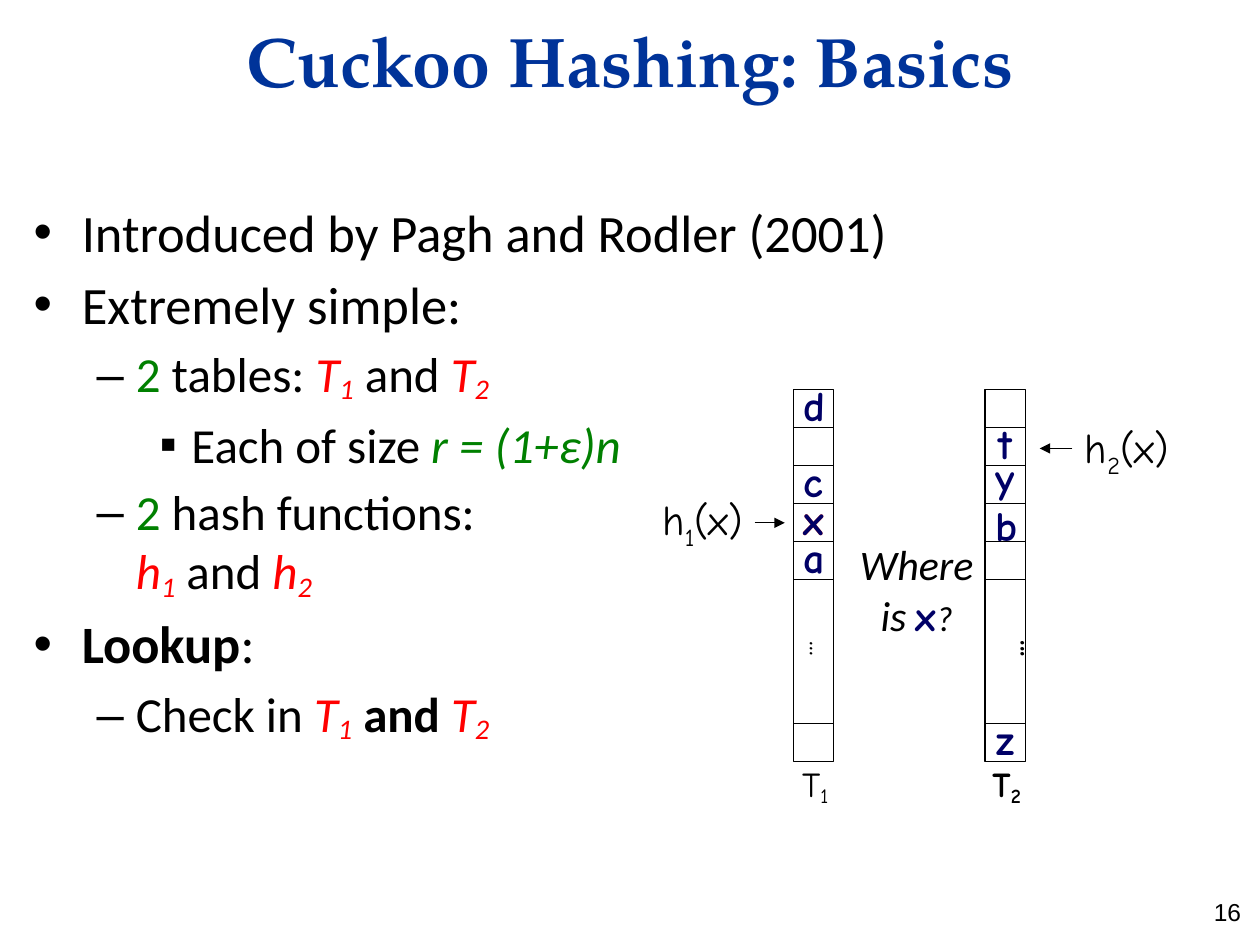
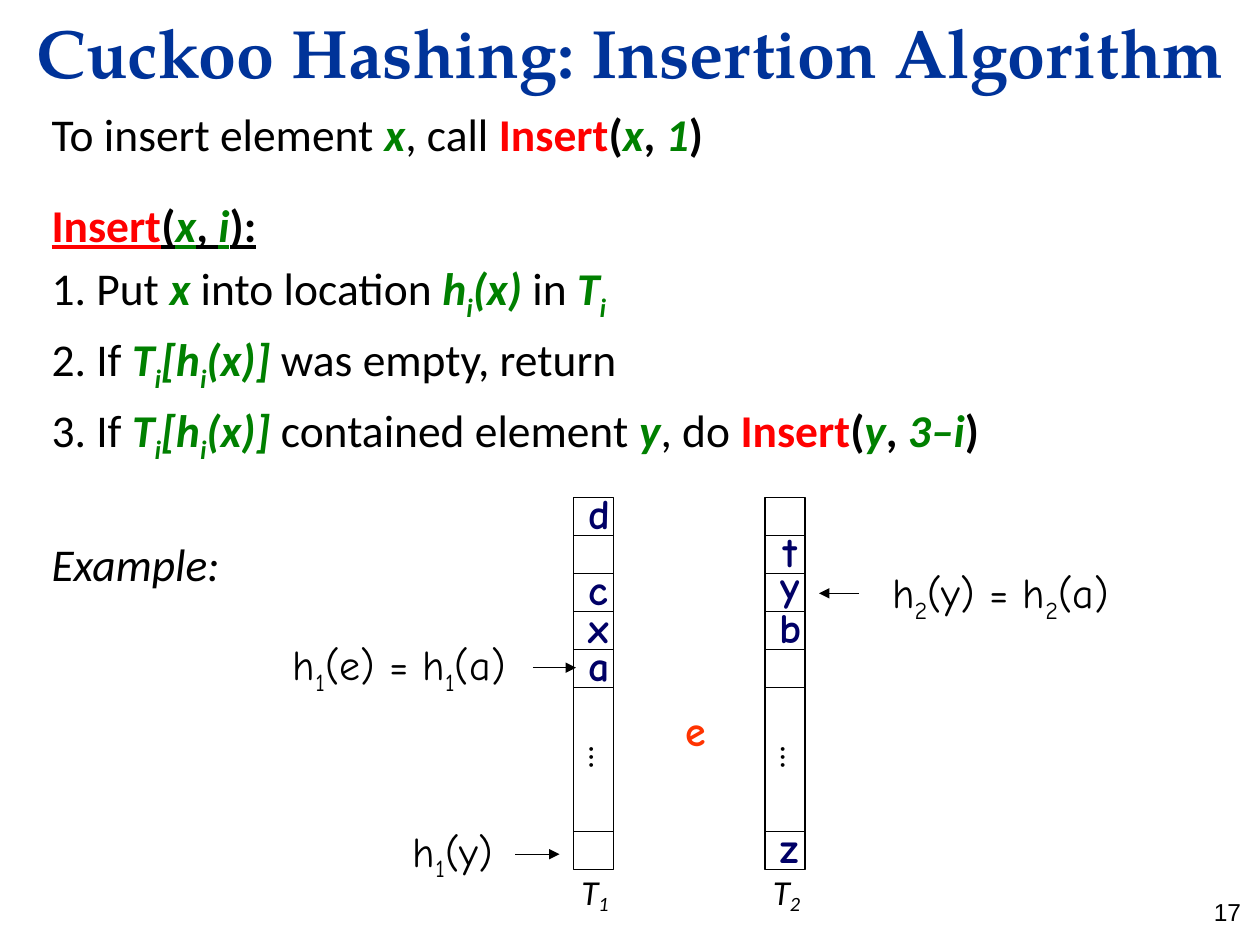
"""Build two slides that explain cuckoo hashing: its basics and its insertion algorithm."""
from dataclasses import dataclass, replace

from pptx import Presentation
from pptx.dml.color import RGBColor
from pptx.enum.shapes import MSO_CONNECTOR as Connector, MSO_SHAPE as Shape
from pptx.enum.text import MSO_ANCHOR as Anchor, PP_ALIGN as Align
from pptx.oxml.ns import qn
from pptx.util import Cm, Pt
from lxml.etree import SubElement


@dataclass(frozen=True)
class Ink:
    color: str = "000000"
    bold: bool = False
    italic: bool = False
    underline: bool = False
    base: int = 0
    font: str = ""
    size: float = 0


@dataclass(frozen=True)
class Theme:
    title_color: str = "003399"
    red: str = "FF0000"
    green: str = "008000"
    key_color: str = "000066"
    new_key_color: str = "FF3300"
    black: str = "000000"
    title_font: str = "TeX Gyre Pagella"
    body_font: str = "Calibri"
    hand_font: str = "Comic Neue"
    number_font: str = "Arial"
    title_size: float = 40
    long_title_size: float = 39
    bullet_size: float = 30
    detail_size: float = 28
    step_size: float = 26
    key_size: float = 24
    caption_size: float = 20
    dots_size: float = 18
    number_size: float = 14
    line_width: float = 0.75
    paragraph_gap: float = 5


@dataclass(frozen=True)
class Paragraph:
    spans: list
    size: float
    level: int = -1
    gap: float = Theme.paragraph_gap


THEME = Theme()
PLAIN = Ink()
BOLD = Ink(bold=True)
ITALIC = Ink(italic=True)
GREEN = Ink(THEME.green)
GREEN_ITALIC = Ink(THEME.green, italic=True)
RED_ITALIC = Ink(THEME.red, italic=True)
RED_BOLD = Ink(THEME.red, bold=True)
VARIABLE = Ink(THEME.green, bold=True, italic=True)
KEY = Ink(THEME.key_color, bold=True)
NEW_KEY = Ink(THEME.new_key_color, bold=True)
BULLETS = [("•", 0.97, 0.97), ("–", 2.06, 0.79), ("▪", 3.18, 0.64)]
CELL_WIDTH, CELL_STEP, GAP_HEIGHT = 0.81, 0.767, 2.9
TABLE_PITCH = 3.86
FIRST_KEYS = {0: "d", 2: "c", 3: "x", 4: "a"}
SECOND_KEYS = {1: "t", 2: "y", 3: "b", 5: "z"}


def indexed(name, index, ink, base=-15):
    return [(name, ink), (index, replace(ink, base=base))]


def hash_of(index, key, ink=PLAIN):
    return indexed("h", index, ink, -25) + [(f"({key})", ink)]


def underlined(spans):
    return [(words, replace(ink, underline=True)) for words, ink in spans]


def insert_call(key, index):
    return [("Insert", RED_BOLD), ("(", BOLD), (key, VARIABLE), (", ", BOLD),
            (index, VARIABLE), (")", BOLD)]


class SlideWriter:
    def __init__(self, theme):
        self.theme = theme
        self.deck = Presentation()
        self.deck.slide_width, self.deck.slide_height = Cm(25.4), Cm(19.05)
        self.page = None

    def start(self, title, size, top, height, number):
        theme = self.theme
        self.page = self.deck.slides.add_slide(self.deck.slide_layouts[6])
        heading = Paragraph([(title, Ink(theme.title_color, bold=True))], size)
        self.text(0, top, 25.4, height, [heading], theme.title_font,
                  align=Align.CENTER, anchor=Anchor.MIDDLE)
        self.text(19.35, 17.96, 5.92, 0.71, [Paragraph([(number, PLAIN)], theme.number_size)],
                  theme.number_font, align=Align.RIGHT)

    def text(self, left, top, width, height, paragraphs, font,
             align=Align.LEFT, anchor=Anchor.TOP, wrap=True):
        box = self.page.shapes.add_textbox(Cm(left), Cm(top), Cm(width), Cm(height))
        frame = box.text_frame
        frame.word_wrap = wrap
        frame.vertical_anchor = anchor
        for position, paragraph in enumerate(paragraphs):
            para = frame.add_paragraph() if position else frame.paragraphs[0]
            para.alignment = align
            para.space_before = Pt(paragraph.gap if position else 0)
            if paragraph.level >= 0:
                self.bullet(para, paragraph.level)
            for words, ink in paragraph.spans:
                self.span(para, words, ink, font, paragraph.size)
        return box

    def bullet(self, para, level):
        mark, margin, hang = BULLETS[level]
        para.level = level
        properties = para._p.get_or_add_pPr()
        properties.set("marL", str(Cm(margin)))
        properties.set("indent", str(-Cm(hang)))
        color = SubElement(properties, qn("a:buClr"))
        SubElement(color, qn("a:srgbClr")).set("val", self.theme.black)
        SubElement(properties, qn("a:buFont")).set("typeface", "Arial")
        SubElement(properties, qn("a:buChar")).set("char", mark)

    def span(self, para, words, ink, font, size):
        if words.startswith("\n"):
            para.add_line_break()
        span = para.add_run()
        span.text = words.lstrip("\n")
        span.font.name = ink.font or font
        span.font.size = Pt(ink.size or size)
        span.font.bold, span.font.italic = ink.bold, ink.italic
        span.font.underline = ink.underline
        span.font.color.rgb = RGBColor.from_string(ink.color)
        if ink.base:
            span._r.get_or_add_rPr().set("baseline", str(ink.base * 1000))

    def label(self, center, top, spans, width=0.91, height=1.27, size=THEME.key_size,
              font=THEME.hand_font, wrap=False):
        return self.text(center - width / 2, top, width, height, [Paragraph(spans, size)],
                         font, align=Align.CENTER, wrap=wrap)

    def cell(self, left, top, height):
        cell = self.page.shapes.add_shape(
            Shape.RECTANGLE, Cm(left), Cm(top), Cm(CELL_WIDTH), Cm(height))
        cell.shadow.inherit = False
        cell.fill.background()
        cell.line.color.rgb = RGBColor.from_string(self.theme.black)
        cell.line.width = Pt(self.theme.line_width)

    def hash_table(self, left, top, keys, index, ink, font, key_shift=0, nudges=None,
                   dots_height=1.02):
        center = left + CELL_WIDTH / 2
        gap_top = top + 5 * CELL_STEP
        last_top = gap_top + GAP_HEIGHT
        tops = [top + row * CELL_STEP for row in range(5)] + [last_top]
        for cell_top in tops:
            self.cell(left, cell_top, CELL_STEP)
        self.cell(left, gap_top, GAP_HEIGHT)
        middle = gap_top + GAP_HEIGHT / 2 - 0.05
        dots_ink = replace(ink, italic=False)
        dots = self.label(center + 0.17, middle - dots_height / 2, [("...", dots_ink)],
                          1.09, dots_height, self.theme.dots_size, font)
        dots.rotation = 90
        self.label(center + 0.03, last_top + CELL_STEP - 0.1, indexed("T", index, ink),
                   1.5, 1.1, self.theme.caption_size, font)
        for row, key in keys.items():
            nudge = {"y": -0.08, **(nudges or {})}.get(key, 0)
            self.label(center + key_shift, tops[row] - 0.33 + nudge, [(key, KEY)])

    def arrow(self, start, end, height):
        arrow = self.page.shapes.add_connector(
            Connector.STRAIGHT, Cm(start), Cm(height), Cm(end), Cm(height))
        arrow.line.color.rgb = RGBColor.from_string(self.theme.black)
        arrow.line.width = Pt(self.theme.line_width)
        SubElement(arrow.line._get_or_add_ln(), qn("a:tailEnd")).set("type", "triangle")
        SubElement(arrow._element.spPr, qn("a:effectLst"))


def basics(writer):
    theme = writer.theme
    large, small = theme.bullet_size, theme.detail_size
    first, second = (indexed("T", index, RED_ITALIC) for index in "12")
    writer.start("Cuckoo Hashing: Basics", theme.title_size, 0.28, 1.83, "16")
    writer.text(0.43, 3.91, 18.39, 12.09, [
        Paragraph([("Introduced by Pagh and Rodler (2001)", PLAIN)], large, 0),
        Paragraph([("Extremely simple:", PLAIN)], large, 0),
        Paragraph([("2", GREEN), (" tables: ", PLAIN), *first, (" and ", PLAIN), *second],
                  small, 1),
        Paragraph([("Each of size ", PLAIN), ("r = (1+ε)n", GREEN_ITALIC)], small, 2),
        Paragraph([("2", GREEN), (" hash functions:", PLAIN), *indexed("\nh", "1", RED_ITALIC),
                   (" and ", PLAIN), *indexed("h", "2", RED_ITALIC)], small, 1),
        Paragraph([("Lookup", BOLD), (":", PLAIN)], large, 0),
        Paragraph([("Check in ", PLAIN), *first, (" and ", BOLD), *second], small, 1),
    ], theme.body_font)
    left, top = 16, 7.85
    writer.label(left + CELL_WIDTH / 2, top + 3 * CELL_STEP - 0.33, [("x", NEW_KEY)])
    writer.hash_table(left, top, FIRST_KEYS, "1", PLAIN, theme.hand_font)
    writer.hash_table(left + TABLE_PITCH, top, SECOND_KEYS, "2", BOLD, theme.hand_font,
                      nudges={"b": 0.13}, dots_height=1.8)
    writer.label(14.17, 9.83, hash_of("1", "x"), 2.39)
    writer.label(22.72, 8.38, hash_of("2", "x"), 2.57)
    writer.arrow(15.21, 15.82, 10.54)
    writer.arrow(21.62, 20.96, 9.04)
    question = [("Where is ", ITALIC), ("x", replace(KEY, font=theme.hand_font)),
                ("?", replace(ITALIC, size=theme.caption_size))]
    writer.label(18.48, 10.74, question, 3.07, 2.31, font=theme.body_font, wrap=True)


def insertion(writer):
    theme = writer.theme
    size = theme.step_size
    location = hash_of("i", "x", VARIABLE)
    table = indexed("T", "i", VARIABLE, -25)
    slot = [*table, ("[", VARIABLE), *location, ("]", VARIABLE)]
    writer.start("Cuckoo Hashing: Insertion Algorithm", theme.long_title_size, 0.28, 1.52, "17")
    writer.text(0.79, 2.01, 20.4, 11.46, [
        Paragraph([("To insert element ", PLAIN), ("x", VARIABLE), (", call ", PLAIN),
                   *insert_call("x", "1")], size),
        Paragraph(underlined([*insert_call("x", "i"), (":", BOLD)]), size, gap=21),
        Paragraph([("1. Put ", PLAIN), ("x", VARIABLE), (" into location ", PLAIN), *location,
                   (" in ", PLAIN), *table], size),
        Paragraph([("2. If ", PLAIN), *slot, (" was empty, return", PLAIN)], size),
        Paragraph([("3. If ", PLAIN), *slot, (" contained element ", PLAIN), ("y", VARIABLE),
                   (", do ", PLAIN), *insert_call("y", "3–i")], size),
        Paragraph([("Example:", ITALIC)], size, gap=41),
    ], theme.body_font)
    left, top = 11.56, 10.03
    for column, keys in enumerate([FIRST_KEYS, SECOND_KEYS]):
        writer.hash_table(left + column * TABLE_PITCH, top, keys, str(column + 1), ITALIC,
                          theme.body_font, key_shift=0.1)
    writer.label(14.02, 14.07, [("e", NEW_KEY)])
    equals = (" = ", PLAIN)
    writer.label(8.05, 12.75, [*hash_of("1", "e"), equals, *hash_of("1", "a")], 6.05)
    writer.label(20.17, 11.3, [*hash_of("2", "y"), equals, *hash_of("2", "a")], 6.15)
    writer.label(9.13, 16.51, hash_of("1", "y"), 3.23)
    writer.arrow(10.74, 11.61, 13.46)
    writer.arrow(17.32, 16.51, 11.96)
    writer.arrow(10.39, 11.28, 17.22)


def main():
    writer = SlideWriter(THEME)
    basics(writer)
    insertion(writer)
    writer.deck.save("out.pptx")


if __name__ == "__main__":
    main()
